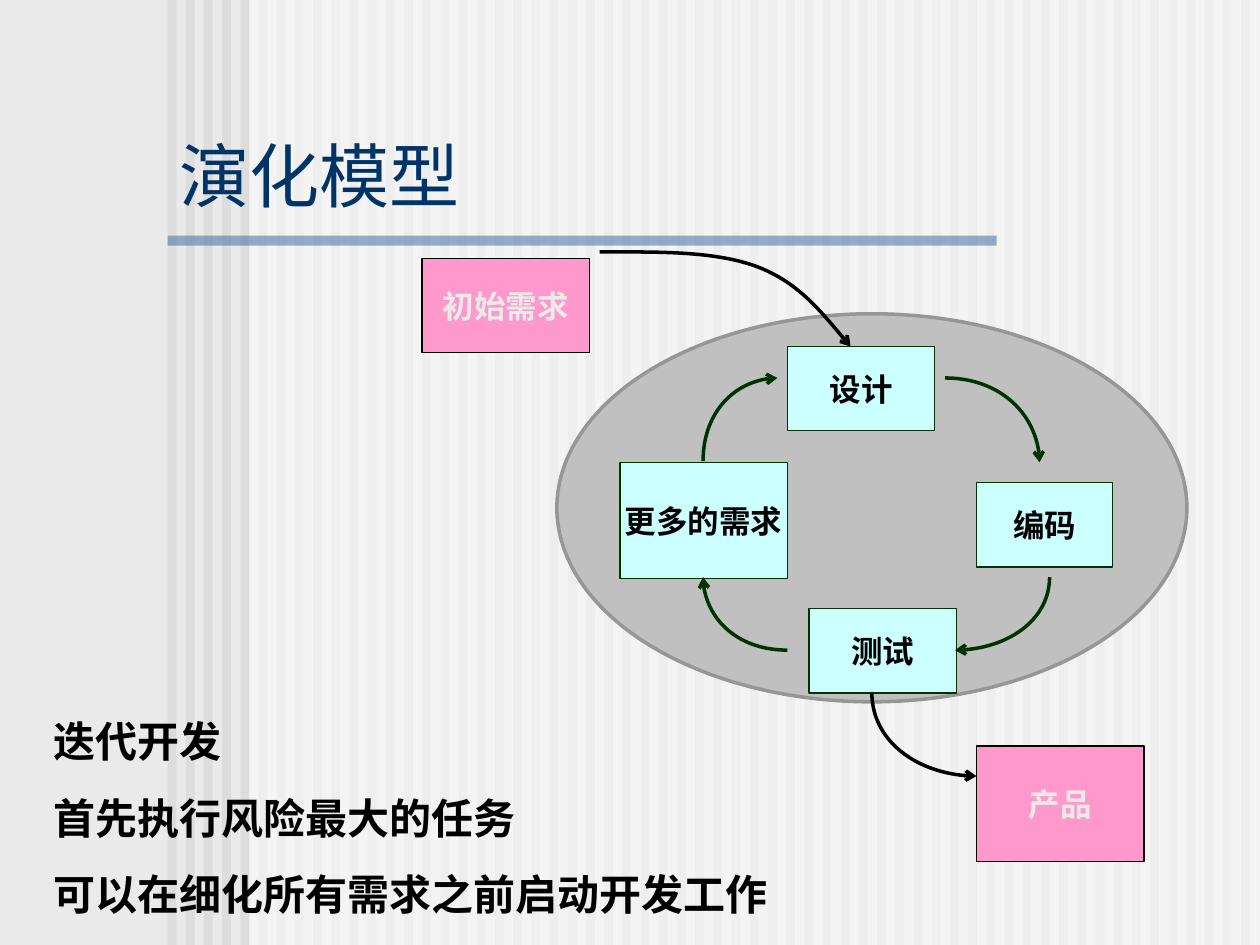
from lxml import etree
from pptx import Presentation
from pptx.dml.color import RGBColor
from pptx.enum.shapes import MSO_SHAPE
from pptx.enum.text import MSO_ANCHOR, PP_ALIGN
from pptx.oxml.ns import qn
from pptx.util import Inches, Pt

RECTANGLE, OVAL = MSO_SHAPE.RECTANGLE, MSO_SHAPE.OVAL
MIDDLE, BOTTOM = MSO_ANCHOR.MIDDLE, MSO_ANCHOR.BOTTOM
CENTER = PP_ALIGN.CENTER
BLACK, DARK_GREEN, CYAN, PINK, PALE = "000000", "003300", "CCFFFF", "FF99CC", "EAEAEA"


def rgb(value):
    return RGBColor.from_string(value)


def add_block(kind, box, fill, opacity=100, line=None, line_width=0.75):
    """Add a filled shape; box is left, top, width, height in inches."""
    block = slide.shapes.add_shape(kind, *[Inches(v) for v in box])
    block.shadow.inherit = False
    block.fill.solid()
    block.fill.fore_color.rgb = rgb(fill)
    if opacity < 100:
        color = block.fill._xPr.find(f".//{qn('a:srgbClr')}")
        etree.SubElement(color, qn("a:alpha"), val=str(opacity * 1000))
    if line:
        block.line.color.rgb = rgb(line)
        block.line.width = Pt(line_width)
    else:
        block.line.fill.background()
    return block


prs = Presentation()
prs.slide_width, prs.slide_height = Inches(10), Inches(7.5)
slide = prs.slides.add_slide(prs.slide_layouts[6])
slide.background.fill.solid()
slide.background.fill.fore_color.rgb = rgb(PALE)

# Striped backdrop, pale panel and title rule
STRIPES, FIRST_STRIPE, LAST_STRIPE = 60, 1.33, 9.85
pitch = (LAST_STRIPE - FIRST_STRIPE) / (STRIPES - 1)
for i in range(STRIPES):
    add_block(RECTANGLE, (FIRST_STRIPE + i * pitch, 0, 0.07, 7.5), "DDDDDD")
add_block(RECTANGLE, (1.98, 0, 8.02, 7.5), "FFFFFF", opacity=50)
add_block(RECTANGLE, (1.33, 1.87, 6.58, 0.08), "336699", opacity=50)

# Iteration zone
add_block(OVAL, (4.42, 2.49, 5, 3.08), "C0C0C0", line="969696", line_width=2)

# Title
title = slide.shapes.add_textbox(Inches(1.33), Inches(1.08), Inches(7.33), Inches(0.69))
title.text_frame.word_wrap = True
title.text_frame.vertical_anchor = BOTTOM
title.text_frame.text = "演化模型"
title_font = title.text_frame.paragraphs[0].runs[0].font
title_font.name, title_font.size = "Arial", Pt(40)
title_font.color.rgb = rgb("003366")

# Key points
points = slide.shapes.add_textbox(Inches(0.33), Inches(5.63), Inches(6.5), Inches(2.25))
points.text_frame.word_wrap = True
points.text_frame.text = "迭代开发\n首先执行风险最大的任务\n可以在细化所有需求之前启动开发工作"
for i, paragraph in enumerate(points.text_frame.paragraphs):
    if i:
        paragraph.space_before = Pt(15)
    font = paragraph.runs[0].font
    font.name, font.size, font.bold = "Times New Roman", Pt(24), True
    font.color.rgb = rgb(BLACK)

# Steps of the cycle, with its input and its output
steps = [
    ("更多的需求", (4.92, 3.67, 1.33, 0.92), CYAN, DARK_GREEN, BLACK),
    ("设计", (6.25, 2.75, 1.17, 0.67), CYAN, DARK_GREEN, BLACK),
    ("编码", (7.75, 3.83, 1.08, 0.67), CYAN, DARK_GREEN, BLACK),
    ("测试", (6.42, 4.83, 1.17, 0.67), CYAN, DARK_GREEN, BLACK),
    ("初始需求", (3.35, 2.05, 1.33, 0.75), PINK, BLACK, PALE),
    ("产品", (7.75, 5.92, 1.33, 0.92), PINK, BLACK, PALE),
]
for label, box, fill, line, text_color in steps:
    frame = add_block(RECTANGLE, box, fill, line=line).text_frame
    frame.word_wrap = False
    frame.vertical_anchor = MIDDLE
    frame.text = label
    frame.paragraphs[0].alignment = CENTER
    font = frame.paragraphs[0].runs[0].font
    font.name, font.size, font.bold = "Times New Roman", Pt(18), True
    font.color.rgb = rgb(text_color)

# Flow arrows: quarter ellipses given by start, corner and end, plus the entry curve
quarters = [
    ((7.5, 3), (8.25, 3), (8.25, 3.67), DARK_GREEN),
    ((8.33, 4.58), (8.33, 5.16), (7.58, 5.16), DARK_GREEN),
    ((6.25, 5.16), (5.58, 5.16), (5.58, 4.58), DARK_GREEN),
    ((5.58, 3.66), (5.58, 3), (6.17, 3), DARK_GREEN),
    ((6.92, 5.5), (6.92, 6.16), (7.75, 6.16), BLACK),
]
curves = [([(4.76, 2), (5.21, 2), (5.65, 1.99), (5.99, 2.11),
            (6.32, 2.23), (6.53, 2.49), (6.75, 2.75)], BLACK)]
for start, corner, end, color in quarters:
    controls = [tuple(p + 0.55 * (c - p) for p, c in zip(point, corner))
                for point in (start, end)]
    curves.append(([start, *controls, end], color))

for curve, color in curves:
    nodes = [(Inches(x), Inches(y)) for x, y in curve]
    builder = slide.shapes.build_freeform(*nodes[0], scale=1.0)
    builder.add_line_segments(nodes[1:], close=False)
    arrow = builder.convert_to_shape()
    arrow.shadow.inherit = False
    arrow.fill.background()
    arrow.line.color.rgb = rgb(color)
    arrow.line.width = Pt(2)
    # Every three segments become one Bézier curve
    segments = list(arrow._element.iter(qn("a:lnTo")))
    for i in range(0, len(segments), 3):
        bezier = etree.SubElement(segments[i].getparent(), qn("a:cubicBezTo"))
        for segment in segments[i:i + 3]:
            bezier.append(segment[0])
            segment.getparent().remove(segment)
    etree.SubElement(arrow.line._get_or_add_ln(), qn("a:tailEnd"), type="arrow")

prs.save("out.pptx")
